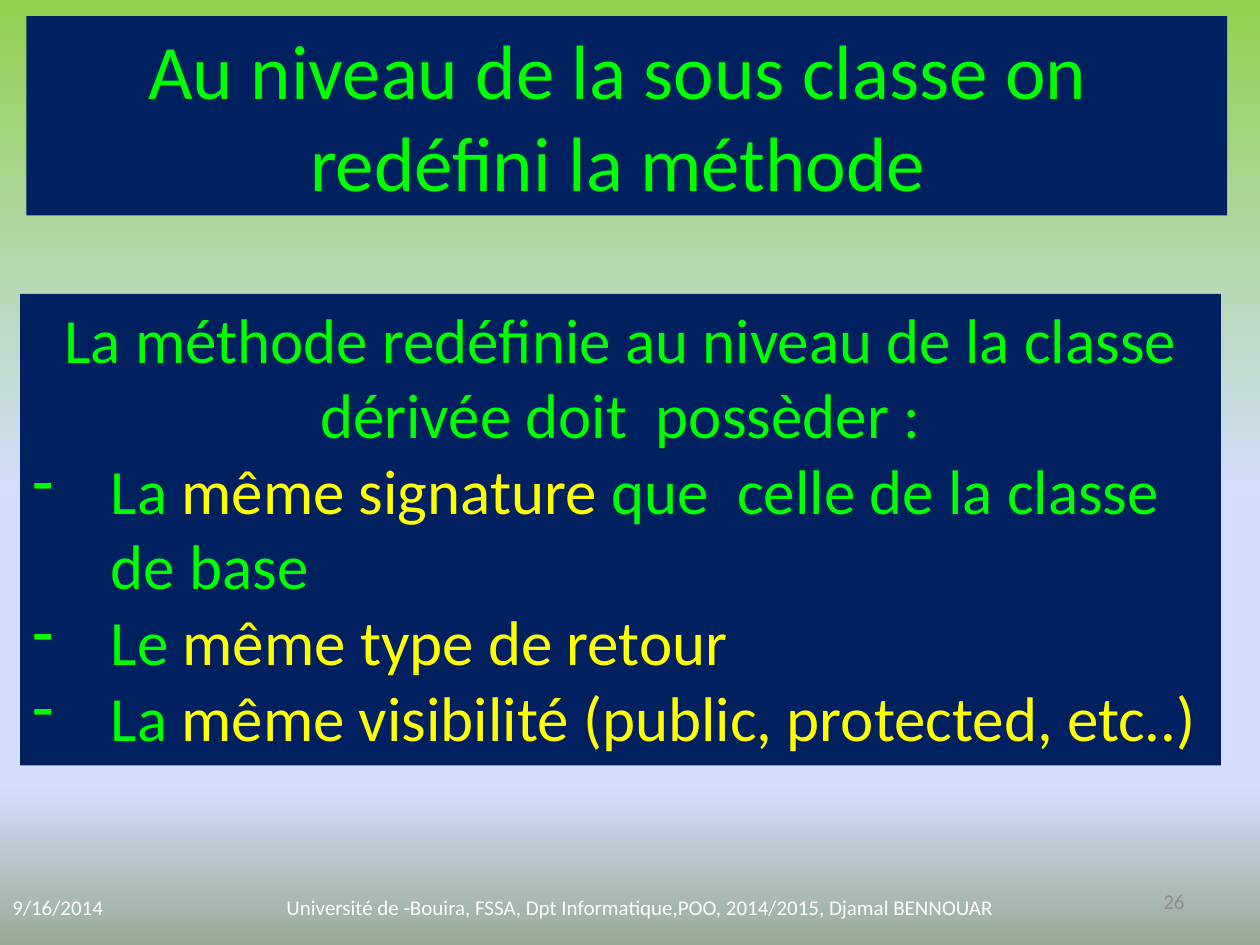
from dataclasses import dataclass
from lxml import etree
from pptx import Presentation, util as u
from pptx.dml.color import RGBColor
from pptx.enum import shapes, text
from pptx.oxml import parse_xml
from pptx.oxml.ns import nsdecls, qn

WIDE, HIGH = u.Inches(10), u.Inches(7.5)
MID, LEFT, RIGHT = text.PP_ALIGN.CENTER, text.PP_ALIGN.LEFT, text.PP_ALIGN.RIGHT


@dataclass(frozen=True)
class Theme:
    """Colours, type sizes and font of the slide."""
    font: str = "Calibri"
    head: int = 44
    body: int = 36
    foot: int = 12
    navy: str = "002060"
    lime: str = "00FF00"
    gold: str = "FFFF00"
    white: str = "FFFFFF"
    grey: str = "8C8C8C"
    sky: tuple = ((0, "92D050"), (53, "D4DEFF"), (83, "D4DEFF"), (100, "96AB94"))


LOOK = Theme()


def place(box):
    """Turn shares of the slide into lengths."""
    return [u.Emu(int(part * side)) for part, side in zip(box, (WIDE, HIGH) * 2)]


def style(run, size, tone):
    """Give a run its font, size and colour."""
    run.font.name = LOOK.font
    run.font.size = u.Pt(size)
    run.font.color.rgb = RGBColor.from_string(tone)


def paint(slide):
    """Fill the background with the vertical gradient."""
    stops = "".join(
        f'<a:gs pos="{at * 1000}"><a:srgbClr val="{tone}"/></a:gs>' for at, tone in LOOK.sky)
    back = parse_xml(
        f'<p:bg {nsdecls("p", "a")}><p:bgPr><a:gradFill rotWithShape="1"><a:gsLst>{stops}</a:gsLst>'
        '<a:lin ang="5400000" scaled="0"/></a:gradFill><a:effectLst/></p:bgPr></p:bg>')
    slide.element.cSld.insert(0, back)


def panel(slide, box):
    """Draw a navy panel and return its text frame."""
    rect = slide.shapes.add_shape(shapes.MSO_SHAPE.RECTANGLE, *place(box))
    rect.shadow.inherit = False
    rect.fill.solid()
    rect.fill.fore_color.rgb = RGBColor.from_string(LOOK.navy)
    rect.line.fill.background()
    frame = rect.text_frame
    frame.word_wrap = True
    frame.vertical_anchor = text.MSO_ANCHOR.TOP
    return frame


def title(slide, box, words):
    """Write the heading in a panel."""
    para = panel(slide, box).paragraphs[0]
    para.text = words
    para.alignment = MID
    style(para.runs[0], LOOK.head, LOOK.lime)


def dash(para):
    """Give a paragraph a dash with a hanging indent."""
    props = para._p.get_or_add_pPr()
    hang = u.Inches(0.62)
    props.set("marL", str(hang))
    props.set("indent", str(-hang))
    etree.SubElement(props, qn("a:buFontTx"))
    etree.SubElement(props, qn("a:buChar")).set("char", "-")


def rules(slide, box, lead, items):
    """Write the lead and its dashed rules, every second part in gold."""
    frame = panel(slide, box)
    para = frame.paragraphs[0]
    para.text = lead
    para.alignment = MID
    style(para.runs[0], LOOK.body, LOOK.lime)
    for parts in items:
        para = frame.add_paragraph()
        para.alignment = LEFT
        dash(para)
        for rank, part in enumerate(parts):
            run = para.add_run()
            run.text = part
            style(run, LOOK.body, LOOK.gold if rank % 2 else LOOK.lime)


def footer(slide, box, words, align, tone):
    """Write one footer field."""
    frame = slide.shapes.add_textbox(*place(box)).text_frame
    frame.word_wrap = True
    frame.vertical_anchor = text.MSO_ANCHOR.MIDDLE
    frame.text = words
    para = frame.paragraphs[0]
    para.alignment = align
    style(para.runs[0], LOOK.foot, tone)


def main():
    """Build and save the slide."""
    deck = Presentation()
    deck.slide_width, deck.slide_height = WIDE, HIGH
    slide = deck.slides.add_slide(deck.slide_layouts[6])
    paint(slide)
    footer(slide, (0, 0.933, 0.125, 0.053), "9/16/2014", LEFT, LOOK.white)
    footer(slide, (0.108, 0.933, 0.8, 0.053),
           "Université de -Bouira, FSSA, Dpt Informatique,POO, 2014/2015, Djamal BENNOUAR",
           MID, LOOK.white)
    footer(slide, (0.717, 0.927, 0.233, 0.053), "26", RIGHT, LOOK.grey)
    rules(slide, (0.016, 0.311, 0.953, 0.499),
          "La méthode redéfinie au niveau de la classe dérivée doit  possèder :",
          (("La ", "même signature ", "que  celle de la classe de base"),
           ("Le ", "même type de retour"),
           ("La ", "même visibilité (public, protected, etc..)")))
    title(slide, (0.021, 0.017, 0.953, 0.211),
          "Au niveau de la sous classe on  redéfini la méthode ")
    deck.save("out.pptx")


if __name__ == "__main__":
    main()
